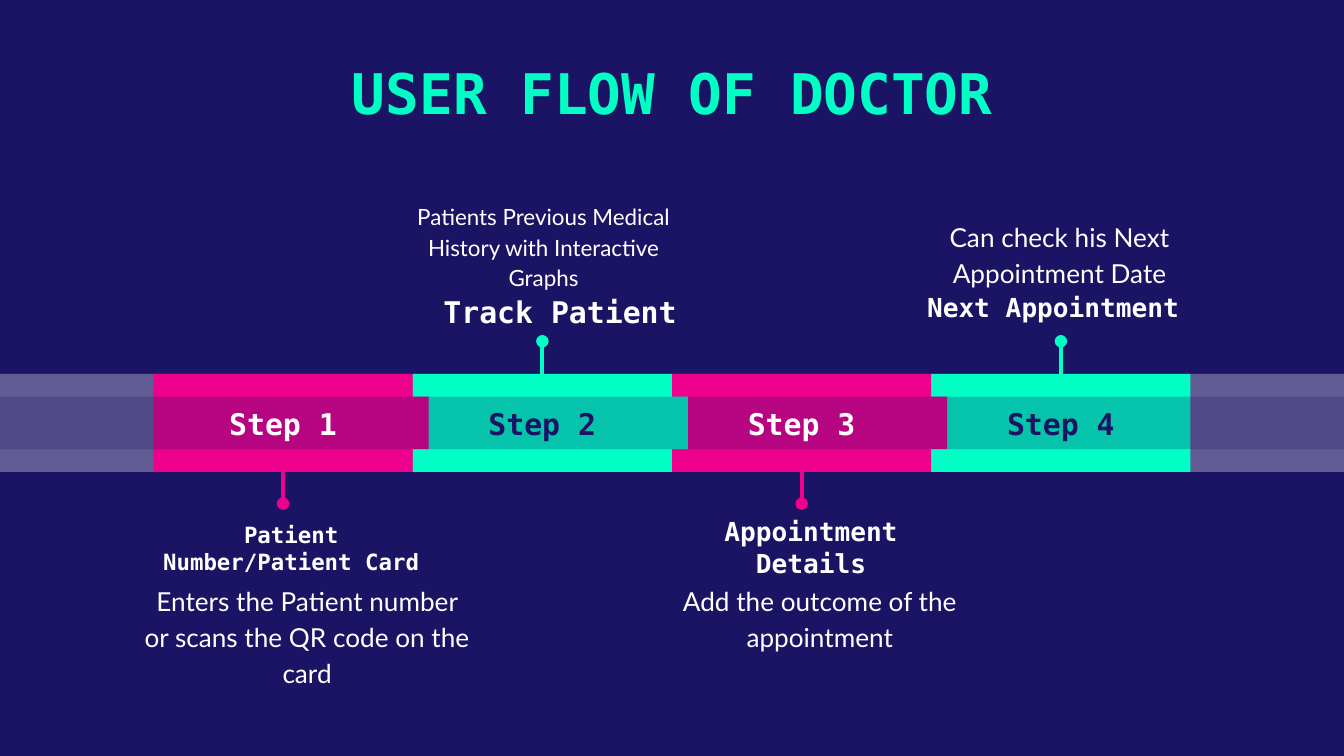
from lxml import etree
from pptx import Presentation
from pptx.dml.color import RGBColor
from pptx.enum.shapes import MSO_CONNECTOR, MSO_SHAPE
from pptx.enum.text import MSO_ANCHOR, PP_ALIGN
from pptx.oxml.ns import qn
from pptx.util import Cm, Pt

RECT, STRAIGHT = MSO_SHAPE.RECTANGLE, MSO_CONNECTOR.STRAIGHT
TOP, BOTTOM, CENTER = MSO_ANCHOR.TOP, MSO_ANCHOR.BOTTOM, PP_ALIGN.CENTER

TITLE = "USER FLOW OF DOCTOR"

# Boxes are (left, top, width, height) in cm
STEPS = [
    {"label": "Step 1", "color": "pink", "ink": "white", "above": False,
     "heading": ("Patient Number/Patient Card", 12, (2.57, 9.86, 5.87, 1)),
     "body": ("Enters the Patient number or scans the QR code on the card",
              14, (2.44, 10.97, 6.73, 1.42))},
    {"label": "Step 2", "color": "mint", "ink": "navy", "above": True,
     "heading": ("Track Patient", 16, (7.65, 5.56, 5.87, 1)),
     "body": ("Patients Previous Medical History with Interactive Graphs",
              12, (7.34, 4.09, 5.87, 1.42))},
    {"label": "Step 3", "color": "pink", "ink": "white", "above": False,
     "heading": ("Appointment Details", 14, (12.27, 9.75, 6.12, 1.42)),
     "body": ("Add the outcome of the appointment",
              14, (12.27, 10.97, 6.45, 1.42))},
    {"label": "Step 4", "color": "mint", "ink": "navy", "above": True,
     "heading": ("Next Appointment ", 14, (17.12, 5.51, 5.87, 1)),
     "body": ("Can check his Next Appointment Date",
              14, (17.09, 4.04, 5.87, 1.42))},
]

THEME = {
    "navy": RGBColor.from_string("1B1464"),
    "mint": RGBColor.from_string("00FFC5"),
    "pink": RGBColor.from_string("EC008C"),
    "white": RGBColor.from_string("FFFFFF"),
    "mono": "DejaVu Sans Mono",
    "sans": "Lato",
    "title_size": 30,
    "label_size": 16,
    "pin_width": 2.25,
}

SLIDE_W, SLIDE_H = 25.4, 14.29
BAR_TOP, BAR_H = 7.07, 1.85
BAND_INSET = 0.43
FIRST_X, STEP_W, TAB_W = 2.9, 4.9, 0.3
LABEL_W, LABEL_TOP = 4.34, 7.42
PIN_UP, PIN_DOWN = (6.45, 7.09), (9.52, 8.89)

prs = Presentation()
prs.slide_width, prs.slide_height = Cm(SLIDE_W), Cm(SLIDE_H)
s = prs.slides.add_slide(prs.slide_layouts[6])
s.background.fill.solid()
s.background.fill.fore_color.rgb = THEME["navy"]


def paint(shape, color, opacity=100):
    shape.shadow.inherit = False
    shape.line.fill.background()
    shape.fill.solid()
    shape.fill.fore_color.rgb = THEME[color]
    if opacity < 100:
        rgb = shape.fill._xPr.find(".//" + qn("a:srgbClr"))
        etree.SubElement(rgb, qn("a:alpha"), val=str(opacity * 1000))


def add_strip(left, top, width, height, color, opacity=100):
    strip = s.shapes.add_shape(RECT, Cm(left), Cm(top), Cm(width), Cm(height))
    paint(strip, color, opacity)


def add_tabbed_block(left, color):
    """Step block whose middle band juts out over the next step."""
    right, bottom = left + STEP_W, BAR_TOP + BAR_H
    tab = right + TAB_W
    tab_top, tab_bottom = BAR_TOP + BAND_INSET, bottom - BAND_INSET
    points = [(left, bottom), (right, bottom), (right, tab_bottom),
              (tab, tab_bottom), (tab, tab_top), (right, tab_top),
              (right, BAR_TOP)]
    builder = s.shapes.build_freeform(Cm(left), Cm(BAR_TOP))
    builder.add_line_segments([(Cm(x), Cm(y)) for x, y in points])
    paint(builder.convert_to_shape(), color)


def add_text(text, box, size, font="mono", color="white", bold=True,
             pad=0.0, anchor=TOP, spacing=1.0):
    tf = s.shapes.add_textbox(*map(Cm, box)).text_frame
    frame = {"word_wrap": True, "vertical_anchor": anchor,
             "margin_left": Cm(0.25), "margin_right": Cm(0.25),
             "margin_top": Cm(pad), "margin_bottom": Cm(pad)}
    for name, value in frame.items():
        setattr(tf, name, value)
    p = tf.paragraphs[0]
    p.alignment, p.line_spacing = CENTER, spacing
    r = p.add_run()
    r.text = text
    for name, value in {"name": THEME[font], "size": Pt(size),
                        "bold": bold}.items():
        setattr(r.font, name, value)
    r.font.color.rgb = THEME[color]


def add_pin(x, y_dot, y_bar, color):
    pin = s.shapes.add_connector(STRAIGHT, Cm(x), Cm(y_dot), Cm(x), Cm(y_bar))
    pin.line.width = Pt(THEME["pin_width"])
    pin.line.color.rgb = THEME[color]
    etree.SubElement(pin.line._get_or_add_ln(), qn("a:headEnd"), type="oval")
    etree.SubElement(pin._element.spPr, qn("a:effectLst"))


# Bar: later steps go first so each tab overlaps its right neighbour
add_strip(0, BAR_TOP, SLIDE_W, BAR_H, "white", 31)
last = len(STEPS) - 1
for i in range(last, -1, -1):
    x, color = FIRST_X + i * STEP_W, STEPS[i]["color"]
    if i == last:
        add_strip(x, BAR_TOP, STEP_W, BAR_H, color)
    else:
        add_tabbed_block(x, color)
add_strip(0, BAR_TOP + BAND_INSET, SLIDE_W, BAR_H - 2 * BAND_INSET, "navy", 25)

add_text(TITLE, (3.56, 0.86, 18.29, 1.85), THEME["title_size"],
         color="mint", pad=0.25)

for i, step in enumerate(STEPS):
    center = FIRST_X + (i + 0.5) * STEP_W
    heading, heading_size, heading_box = step["heading"]
    body, body_size, body_box = step["body"]
    add_text(heading, heading_box, heading_size)
    add_text(body, body_box, body_size, font="sans", bold=False, spacing=1.15,
             anchor=BOTTOM if step["above"] else TOP)
    add_text(step["label"], (center - LABEL_W / 2, LABEL_TOP, LABEL_W, 1),
             THEME["label_size"], color=step["ink"], pad=0.25)
    add_pin(center, *(PIN_UP if step["above"] else PIN_DOWN), step["color"])

prs.save("out.pptx")
